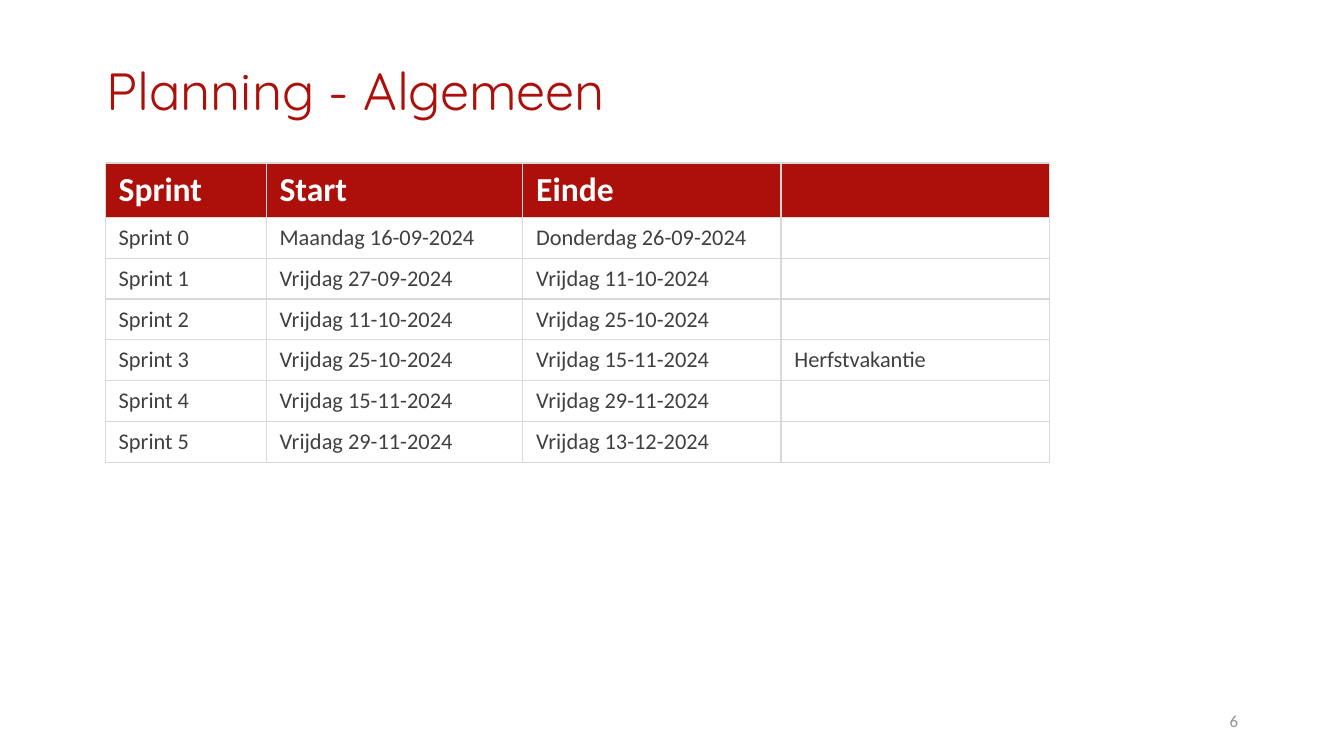
from dataclasses import dataclass

from lxml import etree
from pptx import Presentation
from pptx.dml.color import RGBColor
from pptx.enum.text import MSO_ANCHOR, PP_ALIGN
from pptx.oxml.ns import qn
from pptx.util import Cm, Pt

MIDDLE = MSO_ANCHOR.MIDDLE
LEFT, RIGHT = PP_ALIGN.LEFT, PP_ALIGN.RIGHT
TITLE_ONLY = 5

HEADINGS = ("Sprint", "Start", "Einde", "")
SPRINTS = (
    ("Sprint 0", "Maandag 16-09-2024", "Donderdag 26-09-2024", ""),
    ("Sprint 1", "Vrijdag 27-09-2024", "Vrijdag 11-10-2024", ""),
    ("Sprint 2", "Vrijdag 11-10-2024", "Vrijdag 25-10-2024", ""),
    ("Sprint 3", "Vrijdag 25-10-2024", "Vrijdag 15-11-2024", "Herfstvakantie"),
    ("Sprint 4", "Vrijdag 15-11-2024", "Vrijdag 29-11-2024", ""),
    ("Sprint 5", "Vrijdag 29-11-2024", "Vrijdag 13-12-2024", ""),
)
COLUMN_WIDTHS = (3.04, 4.85, 4.88, 5.08)
HEADER_HEIGHT, ROW_HEIGHT = 1.02, 0.77


@dataclass(frozen=True)
class Theme:
    """Colours, fonts and type sizes of the deck."""

    accent: str = "AD0F0A"
    body: str = "404040"
    inverse: str = "FFFFFF"
    muted: str = "939393"
    border: str = "D9D9D9"
    title_font: str = "Quicksand"
    body_font: str = "Calibri"
    title_size: int = 28
    header_size: int = 18
    body_size: int = 12
    number_size: int = 9
    border_width: float = 0.75


class SlideBuilder:
    """Adds styled elements to the current slide."""

    def __init__(self, slide, theme):
        self.slide = slide
        self.theme = theme

    def style(self, para, name, size, color, bold=False, align=LEFT):
        para.alignment = align
        font = para.font
        font.name, font.size, font.bold = name, Pt(size), bold
        font.color.rgb = RGBColor.from_string(color)

    def title(self, text, left, top, width, height):
        box = self.slide.shapes.title
        box.left, box.top, box.width, box.height = map(Cm, (left, top, width, height))
        frame = box.text_frame
        frame.text = text
        frame.vertical_anchor = MIDDLE
        para = frame.paragraphs[0]
        para.line_spacing = 0.9
        self.style(para, self.theme.title_font, self.theme.title_size, self.theme.accent)

    def page_number(self, text, left, top, width, height):
        box = self.slide.shapes.add_textbox(*map(Cm, (left, top, width, height)))
        frame = box.text_frame
        frame.word_wrap = True
        frame.vertical_anchor = MIDDLE
        frame.text = text
        self.style(frame.paragraphs[0], self.theme.body_font, self.theme.number_size,
                   self.theme.muted, align=RIGHT)

    def borders(self, cell):
        properties = cell._tc.get_or_add_tcPr()
        for index, side in enumerate(("a:lnL", "a:lnR", "a:lnT", "a:lnB")):
            line = etree.Element(qn(side), w=str(Pt(self.theme.border_width)))
            fill = etree.SubElement(line, qn("a:solidFill"))
            etree.SubElement(fill, qn("a:srgbClr"), val=self.theme.border)
            properties.insert(index, line)

    def cell(self, cell, text, header):
        theme = self.theme
        size = theme.header_size if header else theme.body_size
        color = theme.inverse if header else theme.body
        cell.text = text
        para = cell.text_frame.paragraphs[0]
        self.style(para, theme.body_font, size, color, bold=header)
        if not text:
            end = etree.SubElement(para._p, qn("a:endParaRPr"))
            end.set("sz", str(size * 100))
        if header:
            cell.fill.solid()
            cell.fill.fore_color.rgb = RGBColor.from_string(theme.accent)
        else:
            cell.fill.background()
        self.borders(cell)

    def table(self, rows, widths, left, top):
        heights = [HEADER_HEIGHT] + [ROW_HEIGHT] * (len(rows) - 1)
        frame = self.slide.shapes.add_table(
            len(rows), len(widths), Cm(left), Cm(top), Cm(sum(widths)), Cm(sum(heights)))
        table = frame.table
        table.first_row = table.horz_banding = False
        for column, width in zip(table.columns, widths):
            column.width = Cm(width)
        for index, (row, height, texts) in enumerate(zip(table.rows, heights, rows)):
            row.height = Cm(height)
            for cell, text in zip(row.cells, texts):
                self.cell(cell, text, header=index == 0)


def main():
    deck = Presentation()
    deck.slide_width, deck.slide_height = Cm(25.4), Cm(14.29)
    page = deck.slides.add_slide(deck.slide_layouts[TITLE_ONLY])
    builder = SlideBuilder(page, Theme())
    builder.title("Planning - Algemeen", 1.75, 1.14, 21.9, 1.25)
    builder.table((HEADINGS, *SPRINTS), COLUMN_WIDTHS, 1.99, 3.08)
    builder.page_number("6", 21.39, 13.24, 2.26, 0.76)
    deck.save("out.pptx")


if __name__ == "__main__":
    main()
